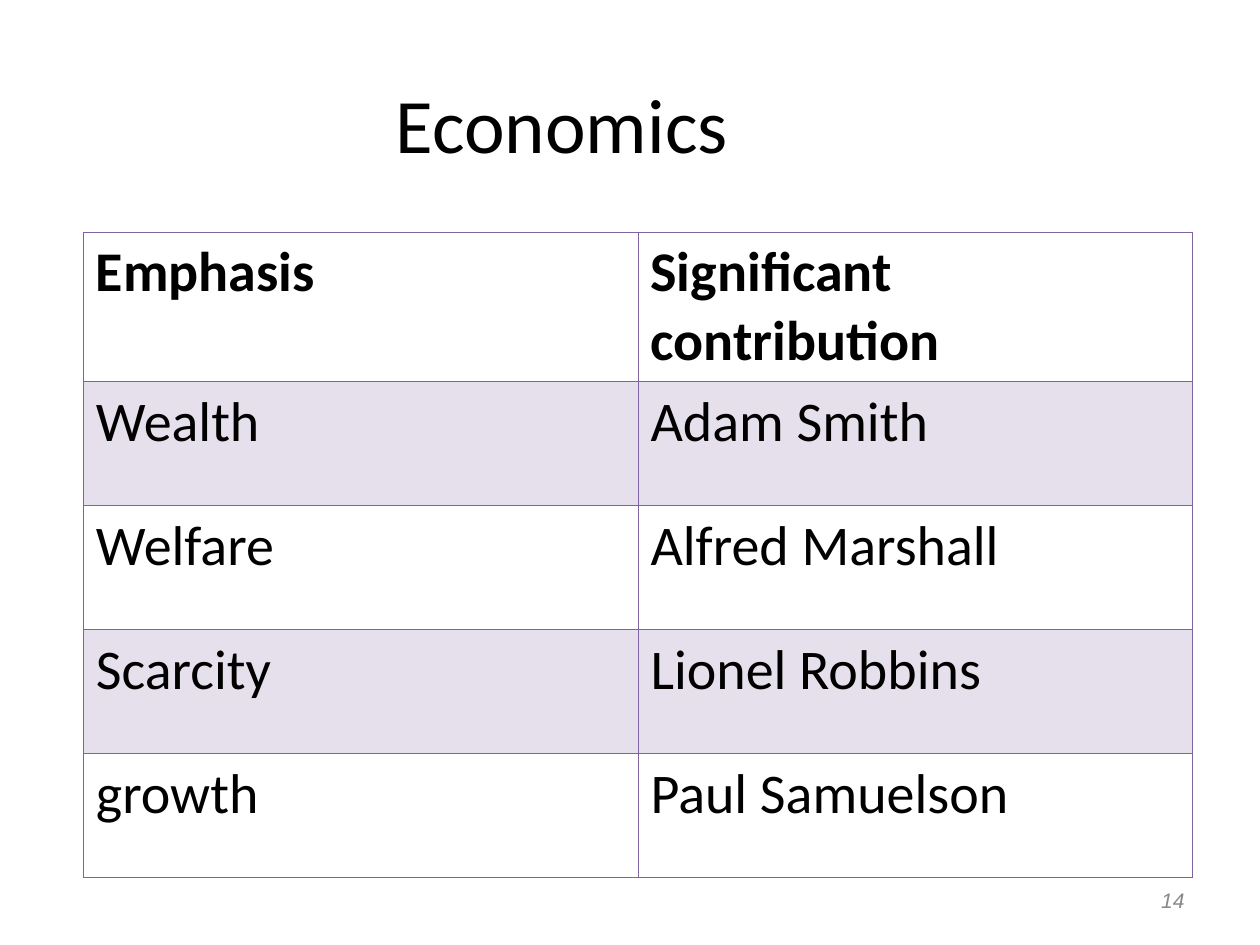
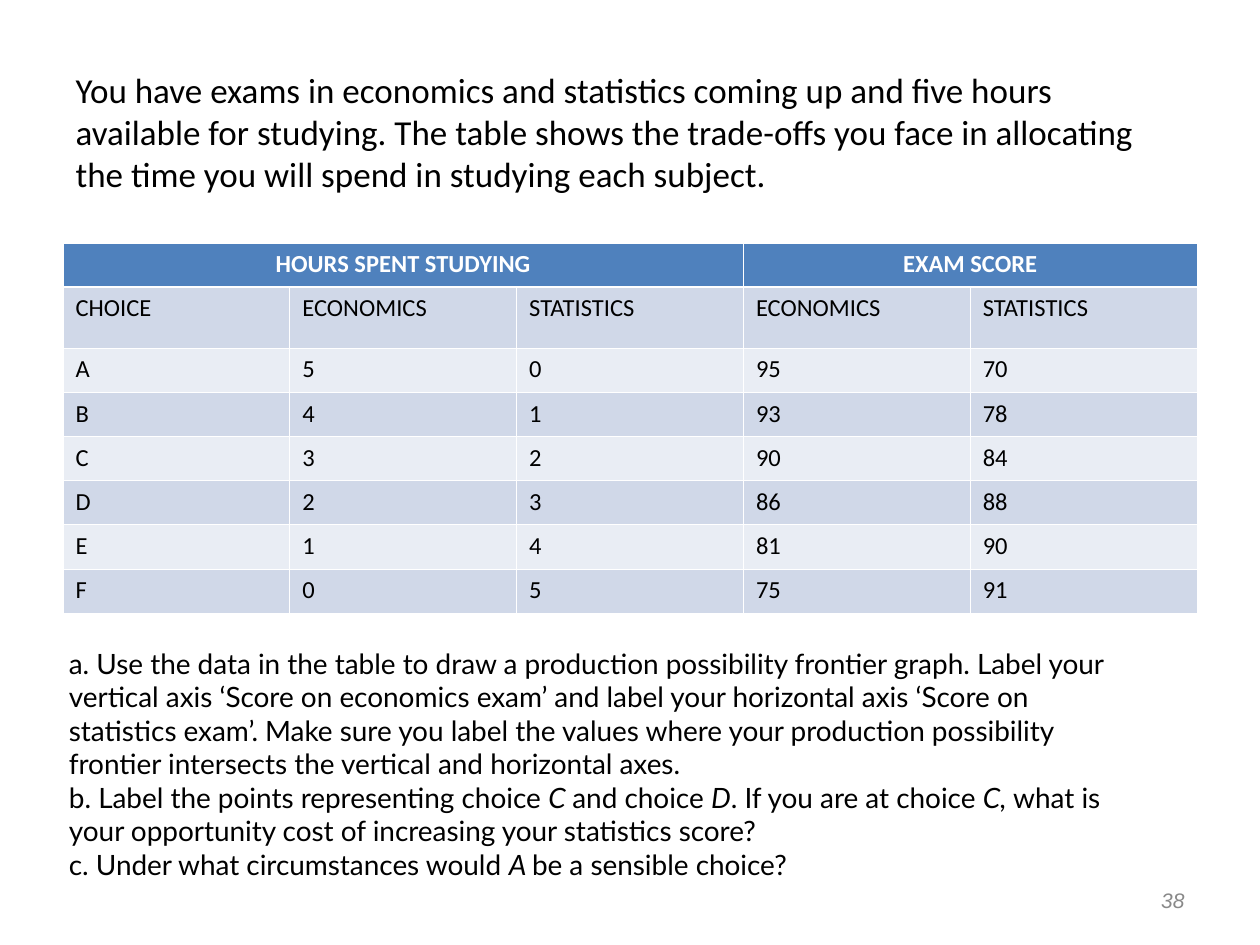
from dataclasses import dataclass

from lxml import etree
from pptx import Presentation
from pptx.dml.color import RGBColor
from pptx.enum import text
from pptx.oxml import ns
from pptx.util import Cm, Pt


@dataclass(frozen=True)
class Theme:
    font: str = "Calibri"
    question_font: str = "Lato"
    number_font: str = "Arial"
    black: str = "000000"
    white: str = "FFFFFF"
    grey: str = "898989"
    purple: str = "8064A2"
    lilac: str = "E6E0EC"
    blue: str = "4F81BD"
    dark_band: str = "D0D8E8"
    light_band: str = "E9EDF4"
    title: int = 44
    contributors: int = 32
    problem: int = 20
    questions: int = 16
    scores: int = 14
    number: int = 12
    thin: float = 0.45


theme = Theme()


def add_span(para, words, size, color=theme.black, font=theme.font, bold=False, italic=False):
    span = para.add_run()
    span.text = words
    span.font.name = font
    span.font.size = Pt(size)
    span.font.color.rgb = RGBColor.from_string(color)
    span.font.bold = bold
    span.font.italic = italic


def style_cell(cell, fill, line, top, bottom):
    """Set the fill (None leaves it clear) and the four borders of a cell."""
    if fill:
        cell.fill.solid()
        cell.fill.fore_color.rgb = RGBColor.from_string(fill)
    else:
        cell.fill.background()
    properties = cell._tc.get_or_add_tcPr()
    widths = {"lnL": theme.thin, "lnR": theme.thin, "lnT": top, "lnB": bottom}
    for index, (side, width) in enumerate(widths.items()):
        border = etree.Element(ns.qn(f"a:{side}"), w=str(int(Pt(width))))
        solid = etree.SubElement(border, ns.qn("a:solidFill"))
        etree.SubElement(solid, ns.qn("a:srgbClr"), val=line)
        properties.insert(index, border)


deck = Presentation()
deck.slide_width, deck.slide_height = Cm(25.4), Cm(19.05)

contributors = [
    ("Emphasis", "Significant contribution"),
    ("Wealth", "Adam Smith"),
    ("Welfare", "Alfred Marshall"),
    ("Scarcity", "Lionel Robbins"),
    ("growth", "Paul Samuelson"),
]
scores = [
    ("HOURS SPENT STUDYING", "", "", "EXAM SCORE", ""),
    ("CHOICE", "ECONOMICS", "STATISTICS", "ECONOMICS", "STATISTICS"),
    ("A", "5", "0", "95", "70"),
    ("B", "4", "1", "93", "78"),
    ("C", "3", "2", "90", "84"),
    ("D", "2", "3", "86", "88"),
    ("E", "1", "4", "81", "90"),
    ("F", "0", "5", "75", "91"),
]
problem = (
    "You have exams in economics and statistics coming up and five hours available for "
    "studying. The table shows the trade-offs you face in allocating the time you will "
    "spend in studying each subject."
)

# Each slide: title, table and page number
slides = [
    dict(
        title="Economics", title_size=theme.title, title_align=text.PP_ALIGN.CENTER,
        title_area=(1.27, 0.89, 20.12, 3.18),
        rows=contributors, table_area=(1.68, 4.68, 22.36), heights=[3.01] + [2.5] * 4,
        size=theme.contributors, header_color=theme.black, header_align=text.PP_ALIGN.LEFT,
        header_fill=None, bands=(theme.lilac, None), line=theme.purple, header_line=0.96,
        merges=[], number="14",
    ),
    dict(
        title=problem, title_size=theme.problem, title_align=text.PP_ALIGN.LEFT,
        title_area=(1.27, 0.76, 22.86, 3.78),
        rows=scores, table_area=(1.27, 4.9, 22.86), heights=[0.89, 1.23] + [0.89] * 6,
        size=theme.scores, header_color=theme.white, header_align=text.PP_ALIGN.CENTER,
        header_fill=theme.blue, bands=(theme.dark_band, theme.light_band),
        line=theme.white, header_line=1.47, merges=[(0, 2), (3, 4)], number="38",
    ),
]

for content in slides:
    page = deck.slides.add_slide(deck.slide_layouts[5])

    # Title
    title = page.shapes.title
    title.left, title.top, title.width, title.height = map(Cm, content["title_area"])
    title.text_frame.word_wrap = True
    title.text_frame.auto_size = text.MSO_AUTO_SIZE.NONE
    title.text_frame.vertical_anchor = text.MSO_ANCHOR.MIDDLE
    para = title.text_frame.paragraphs[0]
    para.alignment = content["title_align"]
    add_span(para, content["title"], content["title_size"])

    # Table
    rows, heights = content["rows"], content["heights"]
    left, top, width = content["table_area"]
    table = page.shapes.add_table(
        len(rows), len(rows[0]), Cm(left), Cm(top), Cm(width), Cm(sum(heights))
    ).table
    table.first_row = table.horz_banding = False
    for row, height in zip(table.rows, heights):
        row.height = Cm(height)
    for first, last in content["merges"]:
        table.cell(0, first).merge(table.cell(0, last))
    for r, values in enumerate(rows):
        header = r == 0
        fill = content["header_fill"] if header else content["bands"][(r - 1) % 2]
        above = content["header_line"] if r == 1 else theme.thin
        below = content["header_line"] if header else theme.thin
        for c, value in enumerate(values):
            cell = table.cell(r, c)
            style_cell(cell, fill, content["line"], above, below)
            if value:
                para = cell.text_frame.paragraphs[0]
                para.alignment = content["header_align"] if header else text.PP_ALIGN.LEFT
                color = content["header_color"] if header else theme.black
                add_span(para, value, content["size"], color, bold=header)

    # Page number
    box = page.shapes.add_textbox(Cm(18.2), Cm(17.65), Cm(5.93), Cm(1.01))
    box.text_frame.word_wrap = True
    box.text_frame.vertical_anchor = text.MSO_ANCHOR.MIDDLE
    para = box.text_frame.paragraphs[0]
    para.alignment = text.PP_ALIGN.RIGHT
    add_span(para, content["number"], theme.number, theme.grey, theme.number_font, italic=True)

# Questions under the score table; every second span is italic
questions = [
    ["a. Use the data in the table to draw a production possibility frontier graph. Label your"],
    ["vertical axis ‘Score on economics exam’ and label your horizontal axis ‘Score on"],
    ["statistics exam’. Make sure you label the values where your production possibility"],
    ["frontier intersects the vertical and horizontal axes."],
    ["b. Label the points representing choice ", "C ", "and choice ", "D",
     ". If you are at choice ", "C, ", "what is"],
    ["your opportunity cost of increasing your statistics score?"],
    ["c. Under what circumstances would ", "A ", "be a sensible choice?"],
]
box = page.shapes.add_textbox(Cm(1.14), Cm(12.9), Cm(22.91), Cm(5.69))
box.text_frame.word_wrap = True
for index, spans in enumerate(questions):
    para = box.text_frame.add_paragraph() if index else box.text_frame.paragraphs[0]
    for position, words in enumerate(spans):
        add_span(para, words, theme.questions, font=theme.question_font,
                 italic=position % 2 == 1)

deck.save("out.pptx")
